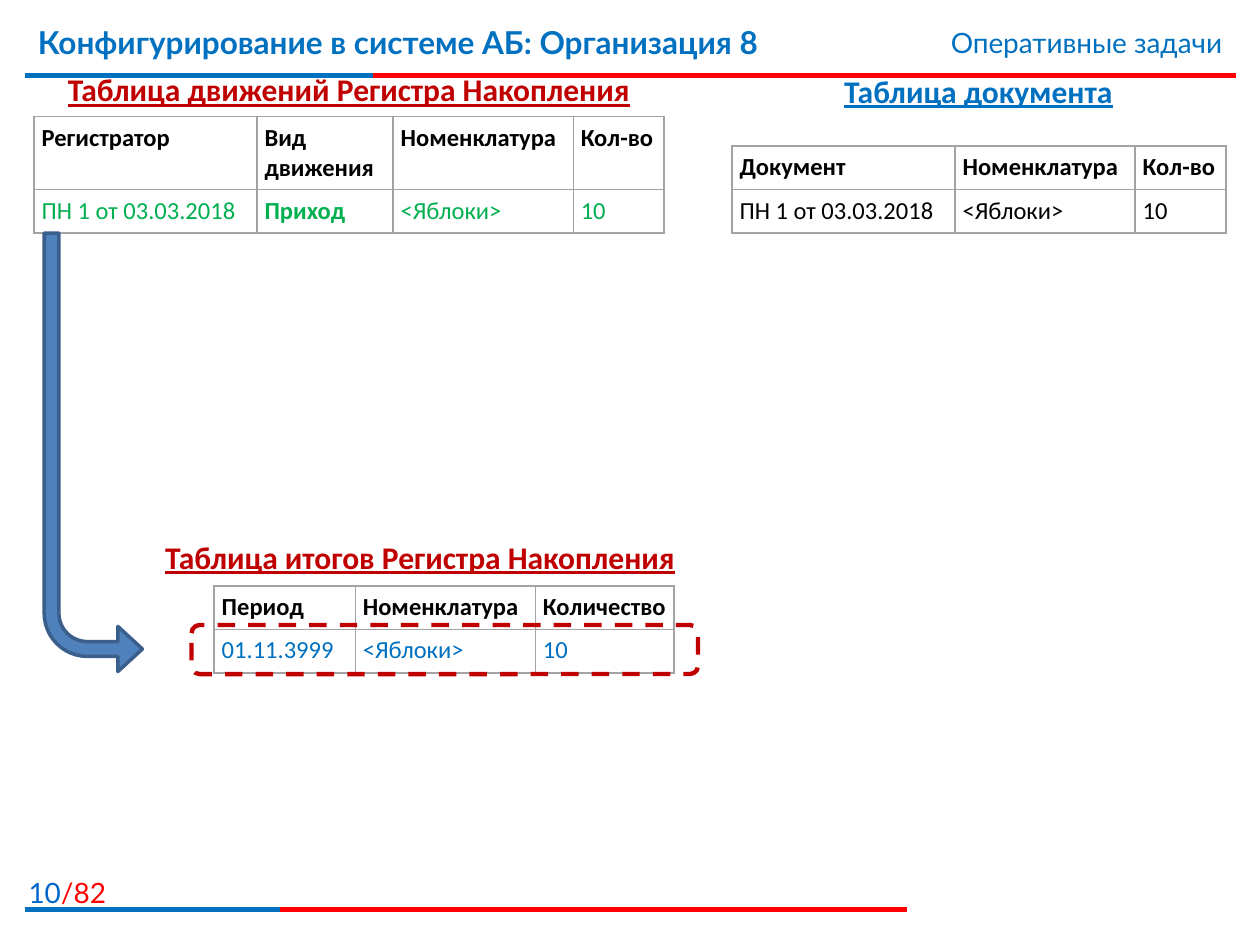
from collections import namedtuple

from lxml import etree
from pptx import Presentation, util as u
from pptx.dml.color import RGBColor
from pptx.enum import dml, shapes, text
from pptx.oxml import ns

# Grid of 100 columns by 75 rows
COLUMNS, ROWS = 100, 75
CELL = u.Inches(0.1)
Box = namedtuple("Box", "left top width height")

BLUE, RED, DARK_RED, GREEN, BLACK = "0070C0", "FF0000", "C00000", "00B050", "000000"
ROW = 3.45  # height of a one-line table row


def grid(*lengths):
    return [round(length * CELL) for length in lengths]


def paint(target, colour):
    target.rgb = RGBColor.from_string(colour)


def style(span, size, colour, font="Calibri", bold=False, underline=False):
    span.font.size = u.Pt(size)
    span.font.name = font
    span.font.bold = bold
    span.font.underline = underline
    paint(span.font.color, colour)


def write(shape, words, align=text.PP_ALIGN.LEFT, **look):
    frame = shape.text_frame
    frame.text = words
    frame.word_wrap = True
    frame.auto_size = text.MSO_AUTO_SIZE.NONE
    frame.vertical_anchor = text.MSO_ANCHOR.TOP
    para = frame.paragraphs[0]
    para.alignment = align
    style(para.runs[0], **look)
    return para


def label(page, box, words, **look):
    return write(page.shapes.add_textbox(*grid(*box)), words, **look)


def rule(page, box, split):
    """Red line with its first part in blue."""
    for width, colour in ((box.width, RED), (split, BLUE)):
        line = page.shapes.add_connector(
            shapes.MSO_CONNECTOR.STRAIGHT,
            *grid(box.left, box.top, box.left + width, box.top))
        paint(line.line.color, colour)
        line.line.width = u.Pt(3)
        etree.SubElement(line._element.spPr, ns.qn("a:effectLst"))


def header(page, box):
    rule(page, Box(box.left, box.top + box.height, box.width, 0), 27.6)
    title = page.shapes.title
    title.left, title.top, title.width, title.height = grid(box.left, box.top, 74, 6.2)
    write(title, "Конфигурирование в системе АБ: Организация 8",
          size=18, colour=BLUE, font="Lato", bold=True)
    label(page, Box(box.left + box.width - 38.7, box.top + 0.2, 38.6, 3.7),
          "Оперативные задачи", align=text.PP_ALIGN.RIGHT,
          size=16, colour=BLUE, font="Lato")


def footer(page, box):
    rule(page, Box(box.left, box.top + box.height, box.width, 0), 20.2)
    para = label(page, Box(box.left - 3, box.top, 10.4, box.height), "10",
                 align=text.PP_ALIGN.RIGHT, size=16, colour="0066CC", font="Lato")
    total = para.add_run()
    total.text = "/82"
    style(total, 16, RED, "Lato")


def outline(cell, colour="A3A3A3"):
    properties = cell._tc.get_or_add_tcPr()
    for place, side in enumerate(("lnL", "lnR", "lnT", "lnB")):
        edge = etree.Element(ns.qn(f"a:{side}"), w=str(u.Pt(1)))
        fill = etree.SubElement(edge, ns.qn("a:solidFill"))
        etree.SubElement(fill, ns.qn("a:srgbClr"), val=colour)
        properties.insert(place, edge)


def register(page, box, heading, heading_colour, columns, records,
             body_colour, indent=0, head_row=ROW, bold_cells=()):
    """Underlined heading over a table that stands on the bottom of the box."""
    label(page, box._replace(height=4), heading, align=text.PP_ALIGN.CENTER,
          size=18, colour=heading_colour, bold=True, underline=True)
    heights = [head_row, ROW]
    frame = page.shapes.add_table(
        len(records), len(columns),
        *grid(box.left + indent, box.top + box.height - sum(heights),
              sum(columns), sum(heights)))
    table = frame.table
    for column, width in zip(table.columns, grid(*columns)):
        column.width = width
    for line, height in zip(table.rows, grid(*heights)):
        line.height = height
    for row, record in enumerate(records):
        for col, words in enumerate(record):
            cell = table.cell(row, col)
            cell.text = words
            cell.fill.background()
            cell.margin_left = cell.margin_right = u.Inches(0.06)
            cell.margin_top = cell.margin_bottom = u.Inches(0.05)
            style(cell.text_frame.paragraphs[0].runs[0], 14,
                  body_colour if row else BLACK,
                  bold=row == 0 or words in bold_cells)
            outline(cell)


def flow_arrow(page, box):
    arrow = page.shapes.add_shape(shapes.MSO_SHAPE.BENT_ARROW, *grid(*box))
    arrow.shadow.inherit = False
    for index, value in enumerate((0.15, 0.23, 0.25, 0.44)):
        arrow.adjustments[index] = value
    arrow.rotation = 180
    arrow._element.spPr.find(ns.qn("a:xfrm")).set("flipH", "1")
    arrow.fill.solid()
    paint(arrow.fill.fore_color, "4F81BD")
    paint(arrow.line.color, "3A5F8C")
    arrow.line.width = u.Pt(2)


def highlight(page, box):
    frame = page.shapes.add_shape(shapes.MSO_SHAPE.ROUNDED_RECTANGLE, *grid(*box))
    frame.shadow.inherit = False
    frame.fill.background()
    paint(frame.line.color, DARK_RED)
    frame.line.width = u.Pt(2.5)
    frame.line.dash_style = dml.MSO_LINE.DASH


def main():
    deck = Presentation()
    deck.slide_width, deck.slide_height = grid(COLUMNS, ROWS)
    page = deck.slides.add_slide(deck.slide_layouts[5])

    # Header and footer
    header(page, Box(2, 1.3, 96.1, 4.7))
    footer(page, Box(2, 69, 70, 3.2))

    # Document, movements and totals
    register(page, Box(55.6, 5.2, 44.1, 13.3), "Таблица документа", BLUE,
             (17.7, 14.3, 7.2),
             (("Документ", "Номенклатура", "Кол-во"),
              ("ПН 1 от 03.03.2018", "<Яблоки>", "10")), BLACK, indent=2.5)
    register(page, Box(2.7, 5.1, 50, 13.4), "Таблица движений Регистра Накопления",
             DARK_RED, (17.7, 10.8, 14.3, 7.2),
             (("Регистратор", "Вид движения", "Номенклатура", "Кол-во"),
              ("ПН 1 от 03.03.2018", "Приход", "<Яблоки>", "10")), GREEN,
             head_row=5.8, bold_cells=("Приход",))
    register(page, Box(11.3, 42.2, 44.1, 11.2), "Таблица итогов Регистра Накопления",
             DARK_RED, (11.2, 14.3, 11),
             (("Период", "Номенклатура", "Количество"),
              ("01.11.3999", "<Яблоки>", "10")), BLUE, indent=5.7)

    # Movement flows into the totals row
    flow_arrow(page, Box(3.5, 18.5, 7.8, 34.8))
    highlight(page, Box(15.2, 49.6, 40.2, 3.9))

    deck.save("out.pptx")


if __name__ == "__main__":
    main()
